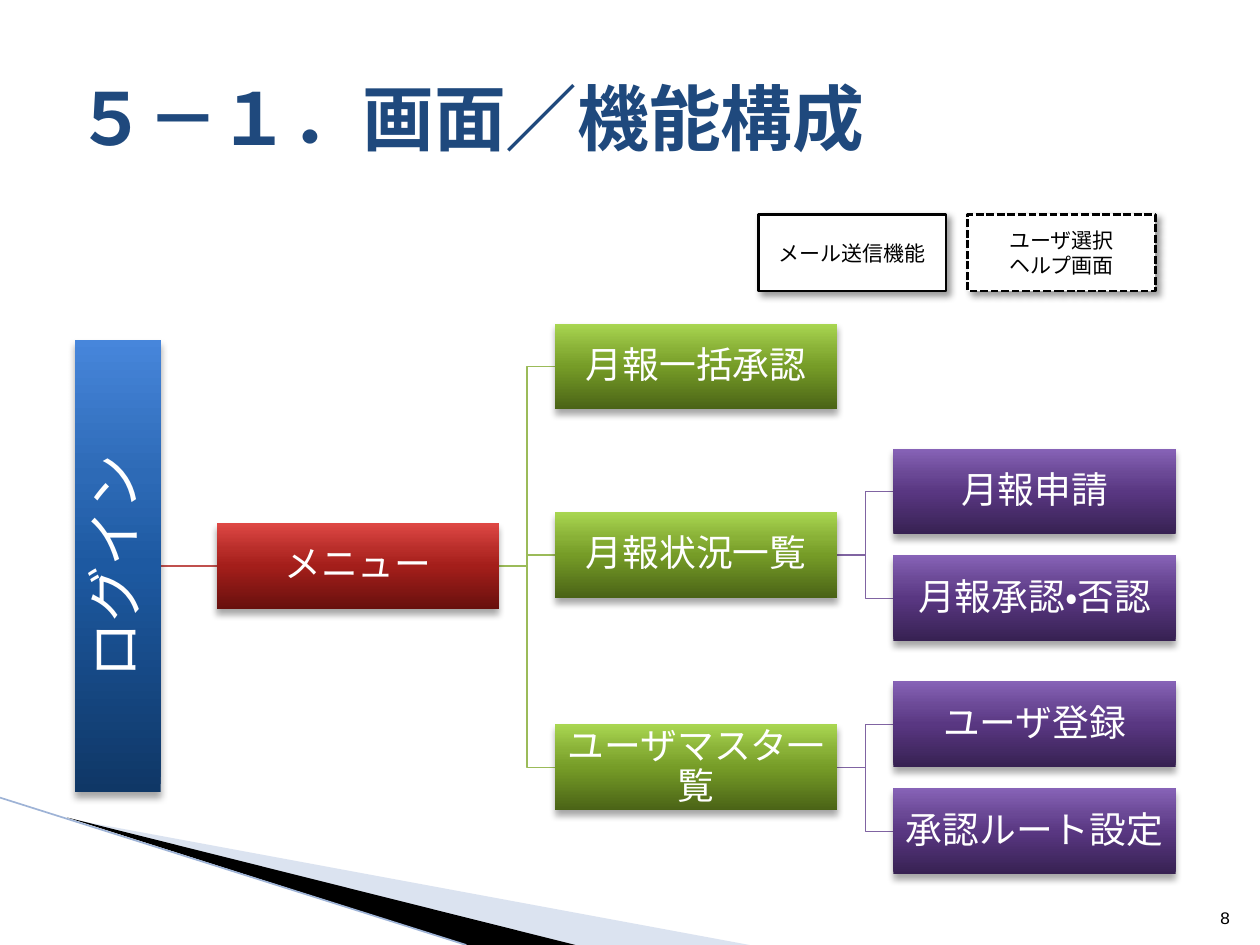
from lxml.etree import SubElement
from pptx import Presentation
from pptx.dml.color import RGBColor
from pptx.enum.dml import MSO_LINE
from pptx.enum.lang import MSO_LANGUAGE_ID
from pptx.enum.shapes import MSO_CONNECTOR, MSO_SHAPE
from pptx.enum.text import MSO_ANCHOR, PP_ALIGN
from pptx.oxml import parse_xml
from pptx.oxml.ns import nsdecls, qn
from pptx.util import Cm, Pt

FONT = "Courier New"
COLORS = {
    "title": "1F497D", "white": "FFFFFF", "black": "000000",
    "wedge": "A7B9DB", "edge": "9EB3D6",
    "red": "C0504D", "green": "9BBB59", "purple": "8064A2",
}
GRADIENTS = {
    "blue": ("0F3766", "1D59A1", "2D6AB6", "4786DB"),
    "red": ("68100E", "A41E1A", "B92E2A", "DF4845"),
    "green": ("4A6316", "769C27", "89B137", "A9D651"),
    "purple": ("372152", "593782", "6A4895", "8763B7"),
}
STOPS = (0, 50, 70, 100)
LEVELS = ("blue", "red", "green", "purple")
BOX_W, BOX_H, GAP = 5.69, 1.73, 1.13
LEFT, ROOT_LEN = 1.51, 9.12

TREE = ("ログイン", 11.41, [
    ("メニュー", 11.41, [
        ("月報一括承認", 7.39, []),
        ("月報状況一覧", 11.19, [
            ("月報申請", 9.91, []),
            ("月報承認・否認", 12.06, []),
        ]),
        ("ユーザマスタ一覧", 15.47, [
            ("ユーザ登録", 14.6, []),
            ("承認ルート設定", 16.76, []),
        ]),
    ]),
])
LEGEND = [
    (15.29, ["メール送信機能"], MSO_LINE.SOLID),
    (19.51, ["ユーザ選択", "ヘルプ画面"], MSO_LINE.SQUARE_DOT),
]
WEDGES = [
    ("wedge", 40, [(1.4, 16.51), (15.11, 19.05), (11.58, 19.05)]),
    ("black", 100, [(1.35, 16.48), (11.6, 19.05), (9.4, 19.05)]),
]


def rgb(name):
    return RGBColor.from_string(COLORS[name])


def write(sp, lines, size, color, align, anchor=MSO_ANCHOR.MIDDLE, bold=False,
          inset=None, spacing=None):
    tf = sp.text_frame
    tf.word_wrap = True
    tf.vertical_anchor = anchor
    if inset is not None:
        tf.margin_left = tf.margin_right = tf.margin_top = tf.margin_bottom = Cm(inset)
    for i, line in enumerate(lines):
        p = tf.paragraphs[0] if i == 0 else tf.add_paragraph()
        p.alignment = align
        p.line_spacing = spacing
        r = p.add_run()
        r.text = line
        r.font.name, r.font.size, r.font.bold = FONT, Pt(size), bold
        r.font.language_id = MSO_LANGUAGE_ID.JAPANESE
        r.font.color.rgb = rgb(color)


def add_shadow(sp, alpha, angle):
    sp.shadow.inherit = False
    effects = sp.element.spPr.find(qn("a:effectLst"))
    shadow = SubElement(effects, qn("a:outerShdw"), blurRad=str(Pt(4)), dist=str(Pt(3)),
                        dir=str(angle * 60000), algn="ctr", rotWithShape="0")
    color = SubElement(shadow, qn("a:srgbClr"), val=COLORS["black"])
    SubElement(color, qn("a:alpha"), val=str(alpha * 1000))


def fill_gradient(sp, name):
    stops = "".join(f'<a:gs pos="{pos * 1000}"><a:srgbClr val="{c}"/></a:gs>'
                    for pos, c in zip(STOPS, GRADIENTS[name]))
    sp.element.spPr.find(qn("a:prstGeom")).addnext(parse_xml(
        f'<a:gradFill {nsdecls("a")} rotWithShape="0"><a:gsLst>{stops}</a:gsLst>'
        '<a:lin ang="16200000" scaled="0"/></a:gradFill>'))


def add_line(s, kind, start, end, color, width):
    line = s.shapes.add_connector(kind, *map(Cm, start + end))
    line.line.color.rgb = rgb(color)
    line.line.width = Pt(width)
    SubElement(line.element.spPr, qn("a:effectLst"))


def column_left(level):
    return LEFT if level == 0 else LEFT + BOX_H + GAP + (level - 1) * (BOX_W + GAP)


def add_links(s, node, level=0):
    _, y, children = node
    right = column_left(level) + (BOX_W if level else BOX_H)
    for child in children:
        kind = MSO_CONNECTOR.STRAIGHT if child[1] == y else MSO_CONNECTOR.ELBOW
        add_line(s, kind, (right, y), (column_left(level + 1), child[1]),
                 LEVELS[level + 1], 0.75)
        add_links(s, child, level + 1)


def add_boxes(s, node, level=0):
    text, y, children = node
    w = BOX_W if level else ROOT_LEN
    x = column_left(level) if level else LEFT + (BOX_H - ROOT_LEN) / 2
    sp = s.shapes.add_shape(MSO_SHAPE.RECTANGLE, Cm(x), Cm(y - BOX_H / 2), Cm(w), Cm(BOX_H))
    sp.rotation = 0 if level else 270
    fill_gradient(sp, LEVELS[level])
    sp.line.fill.background()
    add_shadow(sp, 35, 90)
    write(sp, [text], 21 if level else 32, "white", PP_ALIGN.CENTER,
          inset=0.03 if level else 0.05, spacing=0.9)
    for child in children:
        add_boxes(s, child, level + 1)


def add_decoration(s):
    for color, alpha, points in WEDGES:
        pts = [(Cm(x), Cm(y)) for x, y in points]
        fb = s.shapes.build_freeform(*pts[0])
        fb.add_line_segments(pts[1:])
        sp = fb.convert_to_shape()
        sp.fill.solid()
        sp.fill.fore_color.rgb = rgb(color)
        clr = sp.element.spPr.find(qn("a:solidFill"))[0]
        SubElement(clr, qn("a:alpha"), val=str(alpha * 1000))
        sp.line.fill.background()
        sp.shadow.inherit = False
    add_line(s, MSO_CONNECTOR.STRAIGHT, (0, 16.08), (9.4, 19.05), "edge", 0.95)


def main():
    """Build the slide showing the screen and function structure."""
    prs = Presentation()
    prs.slide_width, prs.slide_height = Cm(25.4), Cm(19.05)
    s = prs.slides.add_slide(prs.slide_layouts[6])
    add_decoration(s)
    add_links(s, TREE)
    add_boxes(s, TREE)
    number = s.shapes.add_textbox(Cm(24.03), Cm(17.81), Cm(1.02), Cm(1.02))
    write(number, ["8"], 10, "black", PP_ALIGN.RIGHT, MSO_ANCHOR.BOTTOM)
    title = s.shapes.add_textbox(Cm(1.27), Cm(0.76), Cm(22.86), Cm(3.18))
    write(title, ["５－１．画面／機能構成"], 41, "title", PP_ALIGN.LEFT, bold=True)
    for x, lines, dash in LEGEND:
        sp = s.shapes.add_shape(MSO_SHAPE.RECTANGLE, Cm(x), Cm(4.32), Cm(3.78), Cm(1.55))
        sp.fill.solid()
        sp.fill.fore_color.rgb = rgb("white")
        sp.line.color.rgb = rgb("black")
        sp.line.width, sp.line.dash_style = Pt(1.5), dash
        add_shadow(sp, 40, 45)
        write(sp, lines, 12, "black", PP_ALIGN.CENTER)
    prs.save("out.pptx")


if __name__ == "__main__":
    main()
